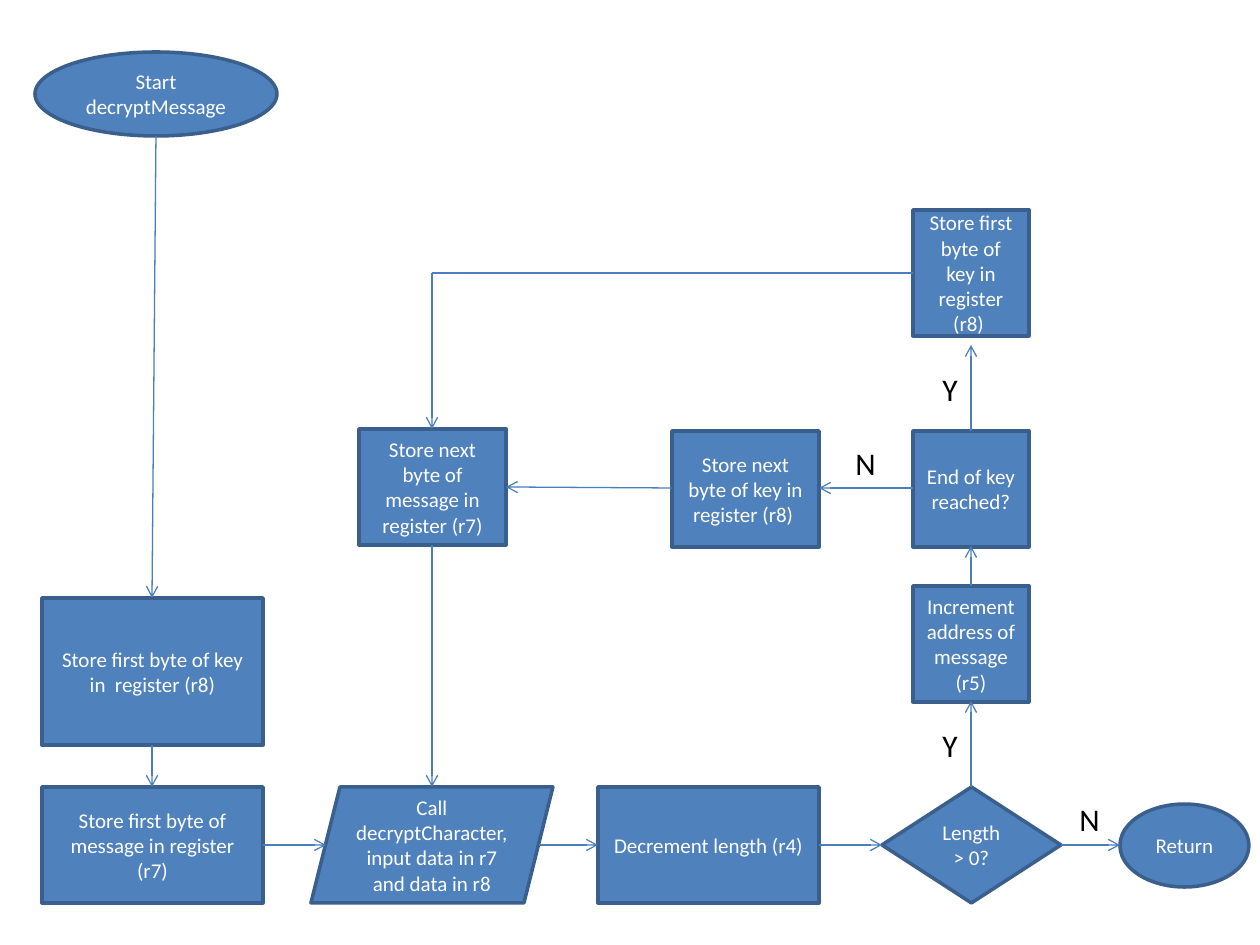
import dataclasses
import typing

import lxml.etree
import pptx
import pptx.dml.color
import pptx.enum.shapes
import pptx.enum.text
import pptx.oxml.ns
import pptx.util

KIND = pptx.enum.shapes.MSO_SHAPE
ALIGN = pptx.enum.text.PP_ALIGN
SCALE = 914400 / 126


@dataclasses.dataclass(frozen=True)
class Theme:
    fill: str = "4F81BD"
    edge: str = "3A5F8C"
    link: str = "4B7EBC"
    light: str = "FFFFFF"
    dark: str = "000000"
    font: str = "Calibri"
    small: float = 12
    large: float = 18
    thick: float = 2
    thin: float = 0.75


class Step(typing.NamedTuple):
    text: str
    left: int
    top: int
    width: int
    height: int
    kind: KIND = KIND.RECTANGLE


class Link(typing.NamedTuple):
    x: int
    y: int
    to_x: int
    to_y: int
    arrow: bool = True


class Label(typing.NamedTuple):
    text: str
    left: int
    top: int
    width: int


THEME = Theme()
ROW = 787
MID = 845
SIDE = 116
LOOP = 432
TEST = 971
EDGE = TEST - SIDE // 2

STEPS = [
    Step("Start decryptMessage", 35, 52, 242, 84, KIND.OVAL),
    Step("Store first byte of key in  register (r8)", 42, 598, 221, 147),
    Step("Store first byte of message in register (r7)", 42, ROW, 221, SIDE),
    Step("Call decryptCharacter, input data in r7 and data in r8",
         311, ROW, 242, SIDE, KIND.PARALLELOGRAM),
    Step("Decrement length (r4)", 598, ROW, 221, SIDE),
    Step("Length > 0?", 882, ROW, 179, SIDE, KIND.DIAMOND),
    Step("Return", 1120, 804, 129, 83, KIND.OVAL),
    Step("Increment address of message (r5)", EDGE, 586, SIDE, SIDE),
    Step("End of key reached?", EDGE, 431, SIDE, SIDE),
    Step("Store first byte of key in register (r8) ", EDGE, 210, SIDE, 126),
    Step("Store next byte of key in register (r8) ", 672, 431, 147, SIDE),
    Step("Store next byte of message in register (r7)", 359, 429, 147, SIDE),
]

LINKS = [
    Link(156, 136, 152, 598),
    Link(152, 745, 152, ROW),
    Link(263, MID, 326, MID),
    Link(539, MID, 598, MID),
    Link(819, MID, 882, MID),
    Link(1061, MID, 1120, MID),
    Link(TEST, ROW, TEST, 701),
    Link(TEST, 586, TEST, 546),
    Link(TEST, 431, TEST, 345),
    Link(EDGE, 488, 819, 488),
    Link(672, 488, 506, 487),
    Link(EDGE, 273, LOOP, 273, False),
    Link(LOOP, 273, LOOP, 429),
    Link(LOOP, 545, LOOP, ROW),
]

LABELS = [
    Label("N", 1067, 794, 45),
    Label("Y", 930, 720, 40),
    Label("Y", 930, 364, 40),
    Label("N", 843, 438, 45),
]


def px(size: int) -> int:
    return round(size * SCALE)


def tint(code: str) -> pptx.dml.color.RGBColor:
    return pptx.dml.color.RGBColor.from_string(code)


def write(frame, text: str, size: float, color: str, align: ALIGN) -> None:
    para = frame.paragraphs[0]
    para.alignment = align
    run = para.add_run()
    run.text = text
    run.font.name = THEME.font
    run.font.size = pptx.util.Pt(size)
    run.font.color.rgb = tint(color)


def draw_step(slide, step: Step) -> None:
    shape = slide.shapes.add_shape(
        step.kind, px(step.left), px(step.top), px(step.width), px(step.height))
    shape.shadow.inherit = False
    shape.fill.solid()
    shape.fill.fore_color.rgb = tint(THEME.fill)
    shape.line.color.rgb = tint(THEME.edge)
    shape.line.width = pptx.util.Pt(THEME.thick)
    frame = shape.text_frame
    frame.word_wrap = True
    frame.vertical_anchor = pptx.enum.text.MSO_ANCHOR.MIDDLE
    write(frame, step.text, THEME.small, THEME.light, ALIGN.CENTER)


def draw_link(slide, link: Link) -> None:
    line = slide.shapes.add_connector(
        pptx.enum.shapes.MSO_CONNECTOR.STRAIGHT,
        px(link.x), px(link.y), px(link.to_x), px(link.to_y))
    line.line.color.rgb = tint(THEME.link)
    line.line.width = pptx.util.Pt(THEME.thin)
    name = pptx.oxml.ns.qn
    if link.arrow:
        stroke = line.line._get_or_add_ln()
        lxml.etree.SubElement(stroke, name("a:tailEnd"), type="arrow")
    lxml.etree.SubElement(line._element.spPr, name("a:effectLst"))


def draw_label(slide, label: Label) -> None:
    box = slide.shapes.add_textbox(
        px(label.left), px(label.top), px(label.width), px(50))
    frame = box.text_frame
    frame.word_wrap = False
    frame.auto_size = pptx.enum.text.MSO_AUTO_SIZE.SHAPE_TO_FIT_TEXT
    write(frame, label.text, THEME.large, THEME.dark, ALIGN.LEFT)


def main() -> None:
    deck = pptx.Presentation()
    deck.slide_width = px(1260)
    deck.slide_height = px(945)
    slide = deck.slides.add_slide(deck.slide_layouts[6])
    for step in STEPS:
        draw_step(slide, step)
    for link in LINKS:
        draw_link(slide, link)
    for label in LABELS:
        draw_label(slide, label)
    deck.save("out.pptx")


main()
